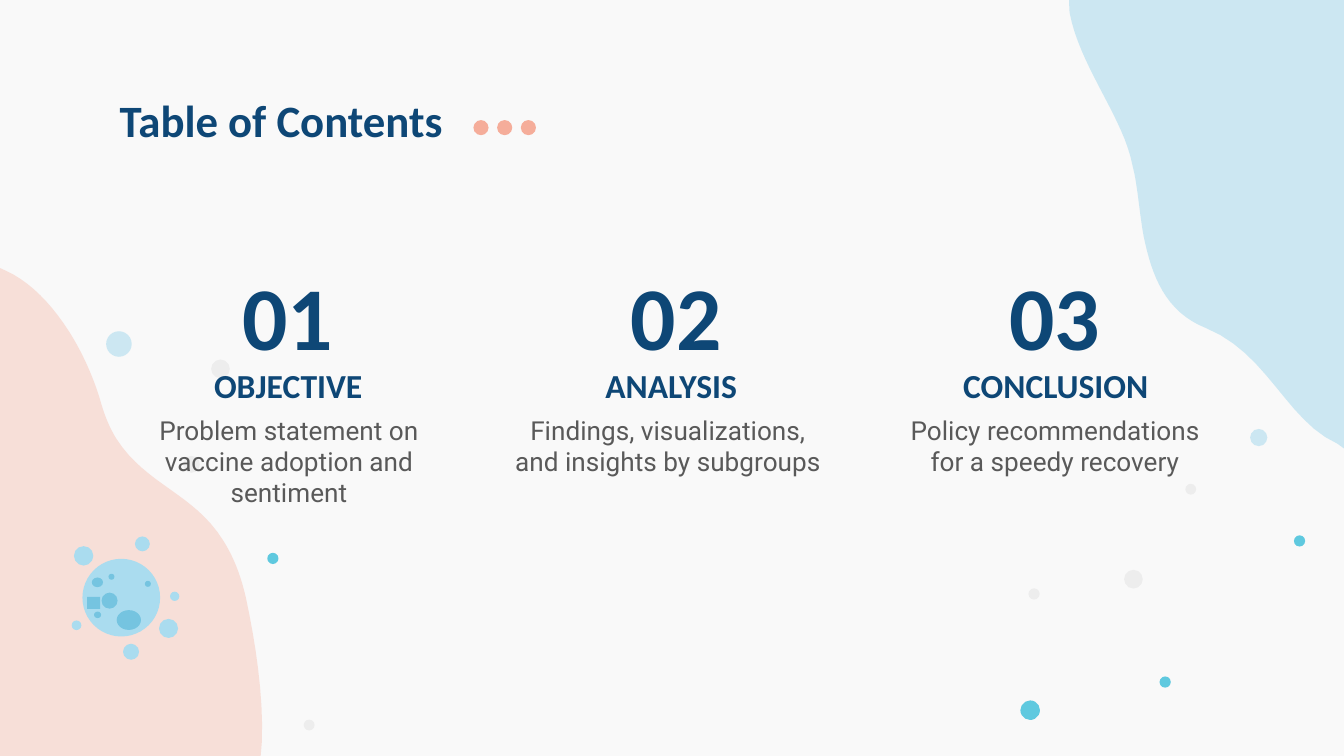
from dataclasses import dataclass

import lxml.etree
import pptx
import pptx.dml.color
import pptx.enum.shapes
import pptx.enum.text
import pptx.oxml.ns
import pptx.util

Pt = pptx.util.Pt
MSO_SHAPE = pptx.enum.shapes.MSO_SHAPE
PP_ALIGN = pptx.enum.text.PP_ALIGN
MSO_ANCHOR = pptx.enum.text.MSO_ANCHOR

SLIDE_WIDTH, SLIDE_HEIGHT = 720, 405
CURVE_STEPS = 16
NAVY, PEACH = "0E4776", "F5AD9A"
PALE_BLUE, TEAL, GREY = "AADBEE", "02ACD0", "EDEDED"
CELL_BLUE, CRATER_BLUE = "AADCEF", "75C4E0"


@dataclass
class Blob:
    start: tuple
    curves: list
    corner: tuple
    color: str
    opacity: int


@dataclass
class Spot:
    x: float
    y: float
    width: float
    height: float
    color: str
    opacity: int = 100
    preset: int = MSO_SHAPE.OVAL


@dataclass
class TextStyle:
    top: float
    width: float
    height: float
    anchor: int
    font: dict


@dataclass
class Column:
    texts: tuple
    centers: tuple


BLOBS = [
    Blob((572.8, 0), [
        ((572.8, 2), (572.8, 5), (573.1, 7.2)),
        ((578.2, 33.8), (599, 59.8), (605.5, 83.5)),
        ((606.2, 86.4), (607, 90), (607.7, 92.9)),
        ((609.8, 103.7), (610.6, 115.2), (612.7, 126.7)),
        ((617, 147.6), (624.2, 167), (645.8, 175.7)),
        ((690.5, 193.7), (692.6, 252), (751.7, 240.5)),
    ], (SLIDE_WIDTH, 0), PALE_BLUE, 57),
    Blob((-21.6, 141.8), [
        ((2.2, 137.5), (22.3, 154.8), (36.7, 177.1)),
        ((44.6, 189.4), (50.4, 203), (54, 215.3)),
        ((56.2, 223.2), (59, 229.7), (62.6, 235.4)),
        ((78.5, 259.9), (103.7, 264.2), (119.5, 289.4)),
        ((124.6, 297.4), (128.9, 307.4), (131.8, 320.4)),
        ((141.8, 367.2), (149.8, 434.2), (115.9, 455.8)),
    ], (0, SLIDE_HEIGHT), PEACH, 34),
]

BUBBLES = {
    (PALE_BLUE, 57): [(63.7, 184.3, 13.7), (674.3, 234.4, 9.2)],
    (TEAL, 62): [(146.2, 299.2, 6), (624.2, 365.4, 6), (551.9, 380.5, 10.5), (696.2, 289.8, 6)],
    (GREY, 100): [(102.6, 248.8, 9), (165.6, 388.4, 5.8), (118.1, 197.6, 10),
                  (637.9, 262.1, 5.8), (554, 318.2, 6), (607.2, 310.3, 10)],
    (CELL_BLUE, 100): [(65, 320.2, 41.6), (44.8, 297.8, 10.4), (76.3, 291.4, 8),
                       (90.3, 336.7, 10.2), (70.2, 349.2, 8.6), (41, 335, 5.2),
                       (93.6, 319.5, 5)],
}

CRATERS = [
    Spot(69, 332.2, 13, 10.6, CRATER_BLUE),
    Spot(58.7, 321.8, 8.6, 8.6, CRATER_BLUE),
    Spot(52.2, 312, 6, 5.2, CRATER_BLUE),
    Spot(79.2, 312.8, 3.2, 3.2, CRATER_BLUE),
    Spot(59.7, 309, 3.2, 3.2, CRATER_BLUE),
    Spot(52.3, 329.4, 3.8, 3.5, CRATER_BLUE),
    Spot(50.2, 323, 7, 6.5, CRATER_BLUE, preset=MSO_SHAPE.RECTANGLE),
]

STYLES = [
    TextStyle(151.2, 148.3, 34.6, MSO_ANCHOR.MIDDLE,
              {"name": "Calibri", "size": Pt(48), "bold": True, "color": NAVY}),
    TextStyle(196.6, 164.9, 19.4, MSO_ANCHOR.MIDDLE,
              {"name": "Calibri", "size": Pt(18), "bold": True, "color": NAVY}),
    TextStyle(214.6, 185.8, 54.7, MSO_ANCHOR.TOP,
              {"name": "Roboto", "size": Pt(14), "bold": False, "color": "595959"}),
]

COLUMNS = [
    Column(("01", "OBJECTIVE", "Problem statement on vaccine adoption and sentiment"),
           (154, 154.4, 154.8)),
    Column(("02", "ANALYSIS", "Findings, visualizations, and insights by subgroups"),
           (362.2, 359.6, 357.8)),
    Column(("03", "CONCLUSION", "Policy recommendations for a speedy recovery"),
           (565.2, 565.6, 565.2)),
]


def rgb(value: str) -> pptx.dml.color.RGBColor:
    return pptx.dml.color.RGBColor.from_string(value)


def paint(shape, color: str, opacity: int) -> None:
    shape.shadow.inherit = False
    shape.fill.solid()
    shape.fill.fore_color.rgb = rgb(color)
    if opacity < 100:
        tint = shape._element.spPr.find(".//" + pptx.oxml.ns.qn("a:srgbClr"))
        alpha = lxml.etree.SubElement(tint, pptx.oxml.ns.qn("a:alpha"))
        alpha.set("val", str(opacity * 1000))
    shape.line.fill.background()


def clamp(point: tuple) -> tuple:
    x, y = point
    return Pt(min(max(x, 0), SLIDE_WIDTH)), Pt(min(max(y, 0), SLIDE_HEIGHT))


def bezier(points: tuple, t: float) -> tuple:
    weights = ((1 - t) ** 3, 3 * t * (1 - t) ** 2, 3 * t * t * (1 - t), t ** 3)
    return tuple(sum(w * p[axis] for w, p in zip(weights, points)) for axis in (0, 1))


def draw_blob(slide, blob: Blob) -> None:
    outline = [blob.start]
    for curve in blob.curves:
        points = (outline[-1], *curve)
        outline += [bezier(points, step / CURVE_STEPS) for step in range(1, CURVE_STEPS + 1)]
    outline.append(blob.corner)
    builder = slide.shapes.build_freeform(*clamp(outline[0]))
    builder.add_line_segments([clamp(point) for point in outline[1:]], close=True)
    paint(builder.convert_to_shape(), blob.color, blob.opacity)


def draw_spot(slide, spot: Spot) -> None:
    shape = slide.shapes.add_shape(
        spot.preset, Pt(spot.x - spot.width / 2), Pt(spot.y - spot.height / 2),
        Pt(spot.width), Pt(spot.height))
    paint(shape, spot.color, spot.opacity)


def write_text(shape, text: str, style: TextStyle, alignment: int) -> None:
    frame = shape.text_frame
    frame.text = text
    frame_format = {"word_wrap": True, "auto_size": pptx.enum.text.MSO_AUTO_SIZE.NONE,
                    "vertical_anchor": style.anchor}
    for side in ("left", "right", "top", "bottom"):
        frame_format["margin_" + side] = Pt(7.2)
    for name, value in frame_format.items():
        setattr(frame, name, value)
    paragraph = frame.paragraphs[0]
    paragraph.alignment = alignment
    font = paragraph.runs[0].font
    for name, value in style.font.items():
        if name == "color":
            font.color.rgb = rgb(value)
        else:
            setattr(font, name, value)


def draw_title(slide) -> None:
    title = slide.shapes.title
    style = TextStyle(42.5, 607, 37.4, MSO_ANCHOR.TOP, {**STYLES[0].font, "size": Pt(24)})
    place = {"left": 56.9, "top": style.top, "width": style.width, "height": style.height}
    for name, value in place.items():
        setattr(title, name, Pt(value))
    write_text(title, "Table of Contents", style, PP_ALIGN.LEFT)


def draw_column(slide, column: Column) -> None:
    for text, center, style in zip(column.texts, column.centers, STYLES):
        shape = slide.shapes.add_textbox(
            Pt(center - style.width / 2), Pt(style.top), Pt(style.width), Pt(style.height))
        write_text(shape, text, style, PP_ALIGN.CENTER)


def main() -> None:
    presentation = pptx.Presentation()
    presentation.slide_width = Pt(SLIDE_WIDTH)
    presentation.slide_height = Pt(SLIDE_HEIGHT)
    slide = presentation.slides.add_slide(presentation.slide_layouts[5])
    slide.background.fill.solid()
    slide.background.fill.fore_color.rgb = rgb("F9F9F9")
    for blob in BLOBS:
        draw_blob(slide, blob)
    bubbles = [Spot(x, y, size, size, color, opacity)
               for (color, opacity), group in BUBBLES.items() for x, y, size in group]
    title_dots = [Spot(257.7 + 12.7 * index, 68.4, 8.1, 8.1, PEACH) for index in range(3)]
    for spot in bubbles + CRATERS + title_dots:
        draw_spot(slide, spot)
    draw_title(slide)
    for column in COLUMNS:
        draw_column(slide, column)
    presentation.save("out.pptx")


if __name__ == "__main__":
    main()
